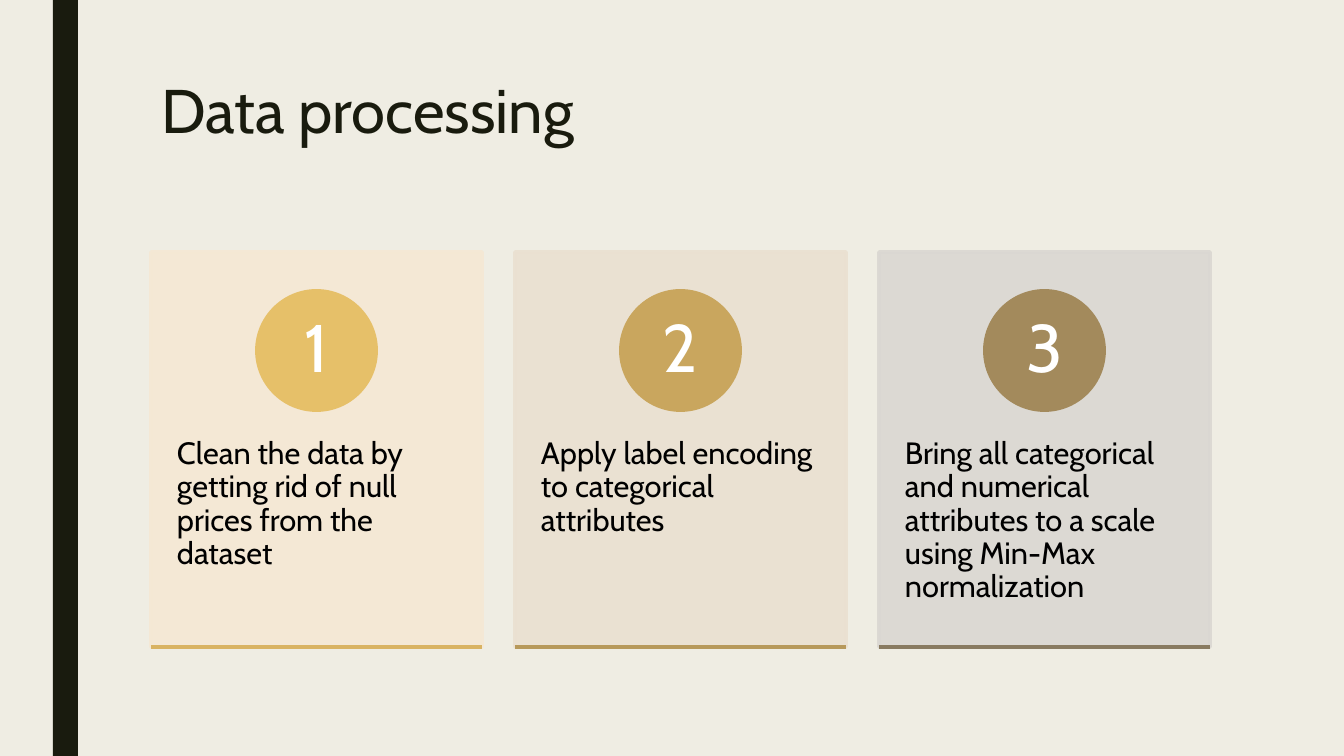
from pptx import Presentation
from pptx.dml.color import RGBColor
from pptx.enum.shapes import MSO_CONNECTOR, MSO_SHAPE
from pptx.enum.text import MSO_ANCHOR, MSO_AUTO_SIZE, PP_ALIGN
from pptx.oxml.ns import qn
from pptx.util import Pt
from lxml.etree import SubElement

TITLE = "Data processing"
STEPS = [
    ("Clean the data by getting rid of null prices from the dataset", "F5E8D4", "E6C069", "D9B362"),
    ("Apply label encoding to categorical attributes", "EAE0D1", "C9A65E", "B7995B"),
    ("Bring all categorical and numerical attributes to a scale using Min-Max normalization",
     "DAD7D2", "A38A5C", "897B61"),
]
FONT, DARK, PAPER = "Cabin", "191B0E", "EFEDE3"
SLIDE_W, SLIDE_H = 1344, 756
CARD_LEFT, CARD_TOP, CARD_W, CARD_H, CARD_PITCH = 151, 252, 331, 395, 364
CIRCLE_TOP, CIRCLE = 291, 119
TEXT_TOP, TEXT_H = 402, 237
BORDER = Pt(2.75)


def px(length):
    return round(length * 914400 / 100.8)


def color(hex_string):
    return RGBColor.from_string(hex_string)


def write(frame, text, size, hex_string, align, anchor, insets, spacing=0.9):
    frame.word_wrap = True
    frame.auto_size = MSO_AUTO_SIZE.NONE
    frame.vertical_anchor = anchor
    frame.margin_left = frame.margin_right = px(insets[0])
    frame.margin_top = frame.margin_bottom = px(insets[1])
    paragraph = frame.paragraphs[0]
    paragraph.alignment = align
    paragraph.line_spacing = spacing
    run = paragraph.add_run()
    run.text = text
    run.font.name = FONT
    run.font.size = Pt(size)
    run.font.color.rgb = color(hex_string)


def add_filled(slide, preset, box, hex_string, bordered=True):
    shape = slide.shapes.add_shape(preset, *map(px, box))
    shape.shadow.inherit = False
    shape.fill.solid()
    shape.fill.fore_color.rgb = color(hex_string)
    if bordered:
        shape.line.color.rgb = color(hex_string)
        shape.line.width = BORDER
    else:
        shape.line.fill.background()
    return shape


def add_step(slide, index, step):
    description, card_color, circle_color, rule_color = step
    left = CARD_LEFT + index * CARD_PITCH
    card = add_filled(slide, MSO_SHAPE.RECTANGLE, (left, CARD_TOP, CARD_W, CARD_H), card_color)
    for tint in card._element.spPr.iter(qn("a:srgbClr")):
        SubElement(tint, qn("a:alpha"), val="90000")

    body = slide.shapes.add_textbox(*map(px, (left, TEXT_TOP, CARD_W, TEXT_H)))
    write(body.text_frame, description, 22, "000000", PP_ALIGN.LEFT, MSO_ANCHOR.TOP, (26, 36))

    circle_left = left + (CARD_W - CIRCLE) / 2
    circle = add_filled(slide, MSO_SHAPE.OVAL, (circle_left, CIRCLE_TOP, CIRCLE, CIRCLE), circle_color)
    write(circle.text_frame, str(index + 1), 48, "FFFFFF", PP_ALIGN.CENTER, MSO_ANCHOR.MIDDLE, (9, 1))

    bottom = CARD_TOP + CARD_H
    rule = slide.shapes.add_connector(
        MSO_CONNECTOR.STRAIGHT, px(left), px(bottom), px(left + CARD_W), px(bottom))
    rule.line.color.rgb = color(rule_color)
    rule.line.width = BORDER
    SubElement(rule._element.spPr, qn("a:effectLst"))


def main():
    """Build the three-step data processing slide."""
    deck = Presentation()
    deck.slide_width, deck.slide_height = px(SLIDE_W), px(SLIDE_H)
    slide = deck.slides.add_slide(deck.slide_layouts[5])
    slide.background.fill.solid()
    slide.background.fill.fore_color.rgb = color(PAPER)
    add_filled(slide, MSO_SHAPE.RECTANGLE, (53, 0, 25, SLIDE_H), DARK, bordered=False)

    title = slide.shapes.title
    title.left, title.top, title.width, title.height = map(px, (151, 76, 1058, 163))
    write(title.text_frame, TITLE, 44, DARK, PP_ALIGN.LEFT, MSO_ANCHOR.TOP, (10, 5), 0.89)

    for index, step in enumerate(STEPS):
        add_step(slide, index, step)
    deck.save("out.pptx")


if __name__ == "__main__":
    main()
